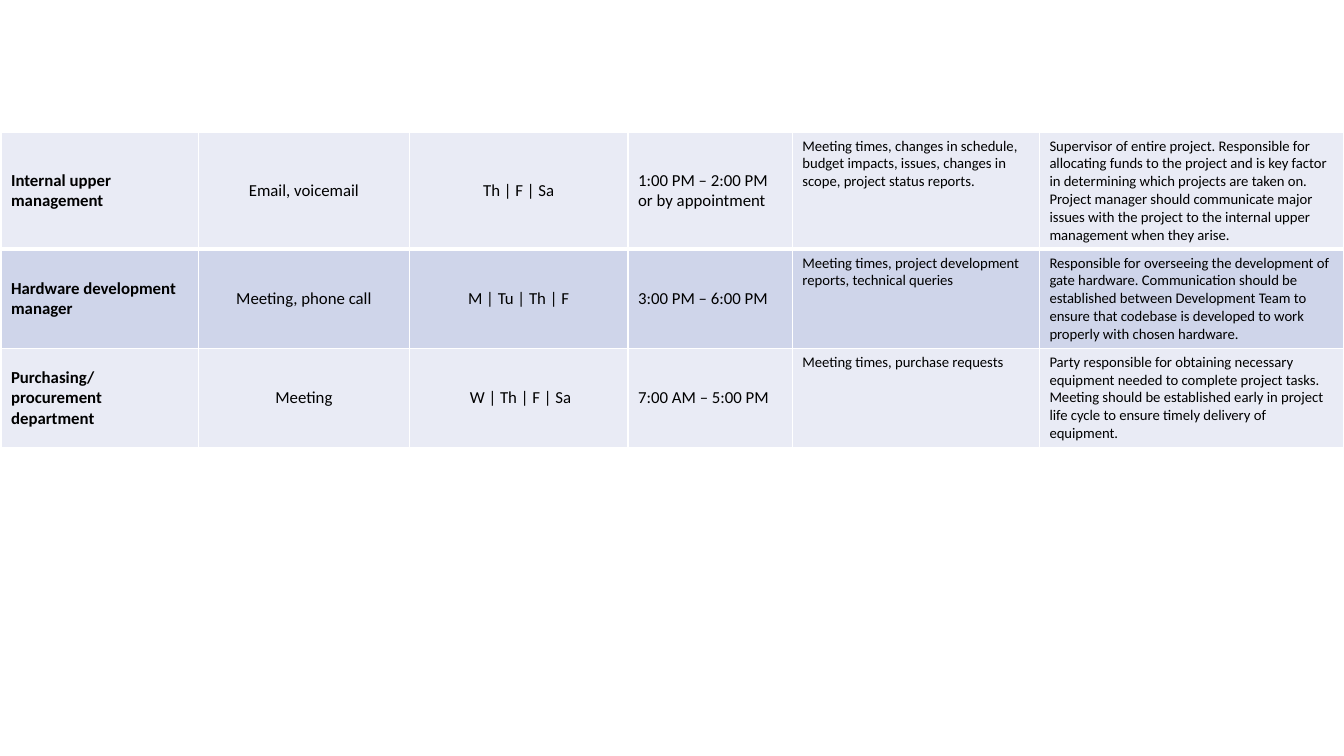
from pptx import Presentation
from pptx.dml.color import RGBColor
from pptx.enum.text import MSO_ANCHOR, PP_ALIGN
from pptx.oxml import parse_xml
from pptx.oxml.ns import nsdecls
from pptx.util import Inches, Pt

LEFT, CENTER = PP_ALIGN.LEFT, PP_ALIGN.CENTER
TOP, MIDDLE = MSO_ANCHOR.TOP, MSO_ANCHOR.MIDDLE

COLORS = {"text": "000000", "light": "E9EBF5", "dark": "CFD5EA", "border": "FFFFFF"}

COLUMNS = [
    (1.96, 12, True, LEFT, MIDDLE),
    (2.09, 12, False, CENTER, MIDDLE),
    (2.17, 12, False, CENTER, MIDDLE),
    (1.63, 12, False, LEFT, MIDDLE),
    (2.45, 10.5, False, LEFT, TOP),
    (3.02, 10.5, False, LEFT, TOP),
]
ROW_HEIGHTS = [1.16, 0.97, 0.97]
STAKEHOLDERS = [
    ["Internal upper management", "Email, voicemail", "Th | F | Sa",
     "1:00 PM – 2:00 PM or by appointment",
     "Meeting times, changes in schedule, budget impacts, issues, changes in scope, "
     "project status reports.",
     "Supervisor of entire project. Responsible for allocating funds to the project and is "
     "key factor in determining which projects are taken on. Project manager should "
     "communicate major issues with the project to the internal upper management when "
     "they arise."],
    ["Hardware development manager", "Meeting, phone call", "M | Tu | Th | F",
     "3:00 PM – 6:00 PM",
     "Meeting times, project development reports, technical queries",
     "Responsible for overseeing the development of gate hardware. Communication should be "
     "established between Development Team to ensure that codebase is developed to work "
     "properly with chosen hardware."],
    ["Purchasing/ procurement department", "Meeting", " W | Th | F | Sa",
     "7:00 AM – 5:00 PM",
     "Meeting times, purchase requests",
     "Party responsible for obtaining necessary equipment needed to complete project tasks. "
     "Meeting should be established early in project life cycle to ensure timely delivery "
     "of equipment."],
]


class Deck:
    font = "Calibri"

    def __init__(self, prs):
        self.s = prs.slides.add_slide(prs.slide_layouts[6])

    def color(self, name):
        return RGBColor.from_string(COLORS[name])

    def borders(self, cell, **widths):
        tcPr = cell._tc.get_or_add_tcPr()
        for side in "LRTB":
            tcPr.append(parse_xml(
                f'<a:ln{side} {nsdecls("a")} w="{Pt(widths.get(side, 1))}"><a:solidFill>'
                f'<a:srgbClr val="{COLORS["border"]}"/></a:solidFill></a:ln{side}>'))

    def cell(self, cell, text, fill, size, bold, align, anchor):
        cell.fill.solid()
        cell.fill.fore_color.rgb = self.color(fill)
        cell.vertical_anchor = anchor
        cell.text = text
        p = cell.text_frame.paragraphs[0]
        p.alignment = align
        p.font.name = self.font
        p.font.size = Pt(size)
        p.font.bold = bold
        p.font.color.rgb = self.color("text")

    def table(self, x, y, columns, heights, rows):
        width = sum(column[0] for column in columns)
        table = self.s.shapes.add_table(
            len(rows), len(columns), Inches(x), Inches(y),
            Inches(width), Inches(sum(heights))).table
        table.first_row = False
        for col, column in zip(table.columns, columns):
            col.width = Inches(column[0])
        for i, (row, height, texts) in enumerate(zip(table.rows, heights, rows)):
            row.height = Inches(height)
            fill = "dark" if i % 2 else "light"
            for cell, text, column in zip(row.cells, texts, columns):
                self.borders(cell, T=3 if i == 1 else 1, B=3 if i == 0 else 1)
                self.cell(cell, text, fill, *column[1:])


prs = Presentation()
prs.slide_width = Inches(13.33)
prs.slide_height = Inches(7.5)
deck = Deck(prs)
deck.table(0.01, 1.31, COLUMNS, ROW_HEIGHTS, STAKEHOLDERS)
prs.save("out.pptx")
